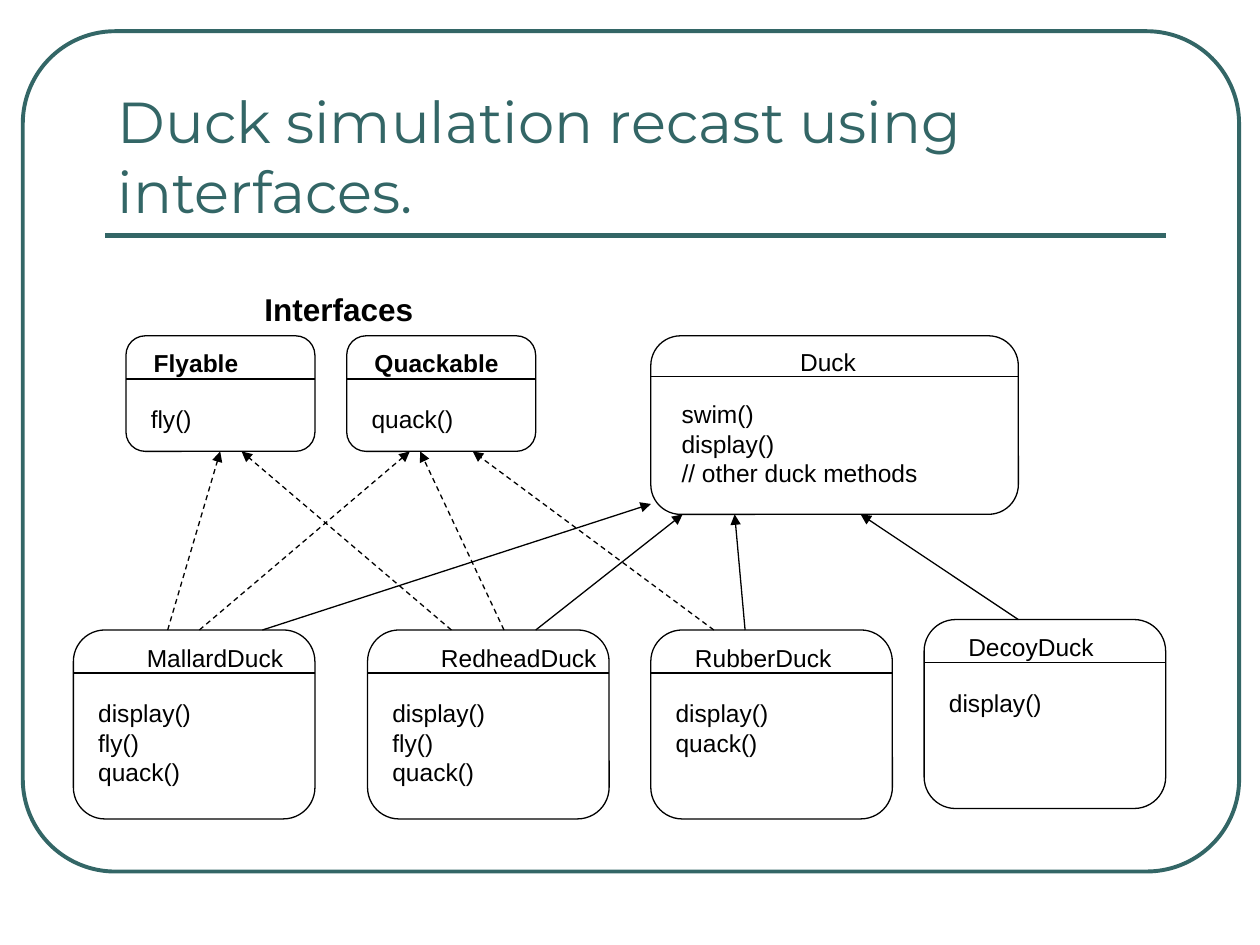
from dataclasses import dataclass

from lxml.etree import SubElement
from pptx import Presentation
from pptx.dml.color import RGBColor
from pptx.enum.dml import MSO_LINE_DASH_STYLE as Dash
from pptx.enum.shapes import MSO_CONNECTOR as Connector, MSO_SHAPE as Shape
from pptx.enum.text import MSO_ANCHOR as Anchor, MSO_AUTO_SIZE as AutoSize, PP_ALIGN as Align
from pptx.oxml.ns import qn
from pptx.util import Cm, Pt


@dataclass(frozen=True)
class Theme:
    accent: RGBColor = RGBColor(0x33, 0x66, 0x66)
    ink: RGBColor = RGBColor(0, 0, 0)
    title_font: str = "Montserrat"
    body_font: str = "Arial"
    title_size: float = 33
    heading_size: float = 18
    body_size: float = 14
    frame_width: float = 2.25
    underline_width: float = 3
    thin_width: float = 0.75


THEME = Theme()


@dataclass(frozen=True)
class UmlBox:
    """A class or interface; lengths in cm, inner offsets from its top left corner."""
    name: str
    methods: tuple
    left: float
    top: float
    width: float
    height: float
    name_left: float
    name_width: float
    methods_width: float
    bold: bool = False
    name_top: float = 0.13
    rule_top: float = 0.87
    methods_left: float = 0.25
    methods_top: float = 1.25


INTERFACE = dict(top=6.77, width=3.81, height=2.33, name_left=0.31, bold=True)
SUBCLASS = dict(top=12.7, width=4.87, height=3.81, methods_width=2.5)

BOXES = (
    UmlBox("Duck", ("swim()", "display()", "// other duck methods"), left=13.12, top=6.77,
           width=7.41, height=3.6, name_left=2.76, name_width=1.8, methods_width=5.45,
           name_top=0.1, rule_top=0.82, methods_left=0.37, methods_top=1.15),
    UmlBox("Flyable", ("fly()",), left=2.54, name_width=2.35, methods_width=1.5, **INTERFACE),
    UmlBox("Quackable", ("quack()",), left=6.99, name_width=3.15, methods_width=2.3, **INTERFACE),
    UmlBox("MallardDuck", ("display()", "fly()", "quack()"), left=1.48,
           name_left=1.23, name_width=3.4, **SUBCLASS),
    UmlBox("RedheadDuck", ("display()", "fly()", "quack()"), left=7.41,
           name_left=1.23, name_width=3.8, **SUBCLASS),
    UmlBox("RubberDuck", ("display()", "quack()"), left=13.12,
           name_left=0.64, name_width=3.4, **SUBCLASS),
    UmlBox("DecoyDuck", ("display()",), left=18.63,
           name_left=0.64, name_width=3.2, **{**SUBCLASS, "top": 12.49}),
)

# child, distance along its top, parent, distance along its bottom, rise above that bottom
RELATIONS = (
    ("MallardDuck", 3.81, "Duck", 0, 0.21),
    ("MallardDuck", 2.54, "Quackable", 1.27, 0),
    ("MallardDuck", 1.9, "Flyable", 1.9, 0),
    ("RedheadDuck", 3.39, "Duck", 0.64, 0),
    ("RedheadDuck", 2.75, "Quackable", 1.48, 0),
    ("RedheadDuck", 1.69, "Flyable", 2.33, 0),
    ("RubberDuck", 1.9, "Duck", 1.69, 0),
    ("RubberDuck", 1.27, "Quackable", 2.54, 0),
    ("DecoyDuck", 1.9, "Duck", 4.23, 0),
)


def write_text(frame, *lines, size=THEME.body_size, font=THEME.body_font,
               color=THEME.ink, bold=False):
    for index, line in enumerate(lines):
        paragraph = frame.paragraphs[0] if index == 0 else frame.add_paragraph()
        paragraph.alignment = Align.LEFT
        run = paragraph.add_run()
        run.text = line
        run.font.size = Pt(size)
        run.font.name = font
        run.font.bold = bold
        run.font.color.rgb = color


def add_label(shapes, left, top, width, *lines, **text_format):
    """Add unwrapped text whose height follows its line count."""
    size = text_format.get("size", THEME.body_size)
    height = 0.25 + len(lines) * size * 0.0425
    frame = shapes.add_textbox(Cm(left), Cm(top), Cm(width), Cm(height)).text_frame
    frame.word_wrap = False
    frame.auto_size = AutoSize.SHAPE_TO_FIT_TEXT
    write_text(frame, *lines, **text_format)


def add_outline(shapes, left, top, width, height, corner=0.167,
                color=THEME.ink, weight=THEME.thin_width):
    outline = shapes.add_shape(Shape.ROUNDED_RECTANGLE, Cm(left), Cm(top), Cm(width), Cm(height))
    outline.adjustments[0] = corner
    outline.shadow.inherit = False
    outline.fill.background()
    outline.line.color.rgb = color
    outline.line.width = Pt(weight)


def add_line(shapes, start, end, color=THEME.ink, weight=THEME.thin_width,
             dashed=False, arrow=False):
    connector = shapes.add_connector(Connector.STRAIGHT, *map(Cm, start + end))
    connector.line.color.rgb = color
    connector.line.width = Pt(weight)
    if dashed:
        connector.line.dash_style = Dash.DASH
    if arrow:
        SubElement(connector.line._get_or_add_ln(), qn("a:tailEnd"), type="triangle")
    SubElement(connector._element.spPr, qn("a:effectLst"))


def add_uml_box(slide, box):
    shapes = slide.shapes.add_group_shape().shapes
    add_outline(shapes, box.left, box.top, box.width, box.height)
    add_label(shapes, box.left + box.name_left, box.top + box.name_top, box.name_width,
              box.name, bold=box.bold)
    rule_y = box.top + box.rule_top
    add_line(shapes, (box.left, rule_y), (box.left + box.width, rule_y))
    add_label(shapes, box.left + box.methods_left, box.top + box.methods_top,
              box.methods_width, *box.methods)


def add_relations(slide):
    """Draw solid arrows to the superclass and dashed ones to interfaces."""
    by_name = {box.name: box for box in BOXES}
    for child_name, child_x, parent_name, parent_x, rise in RELATIONS:
        child, parent = by_name[child_name], by_name[parent_name]
        add_line(slide.shapes, (child.left + child_x, child.top),
                 (parent.left + parent_x, parent.top + parent.height - rise),
                 dashed=parent_name != "Duck", arrow=True)


def add_title(slide, wording):
    title = slide.shapes.title
    title.left, title.top, title.width, title.height = map(Cm, (2.12, 1.48, 21.38, 3.18))
    frame = title.text_frame
    frame.word_wrap = True
    frame.auto_size = AutoSize.NONE
    frame.vertical_anchor = Anchor.BOTTOM
    write_text(frame, wording, size=THEME.title_size, font=THEME.title_font, color=THEME.accent)


def main():
    deck = Presentation()
    deck.slide_width, deck.slide_height = Cm(25.4), Cm(19.05)
    slide = deck.slides.add_slide(deck.slide_layouts[5])

    add_outline(slide.shapes, 0.46, 0.63, 24.52, 16.94, corner=0.11,
                color=THEME.accent, weight=THEME.frame_width)
    add_line(slide.shapes, (2.12, 4.75), (23.5, 4.75),
             color=THEME.accent, weight=THEME.underline_width)
    add_title(slide, "Duck simulation recast using interfaces.")

    for box in BOXES:
        add_uml_box(slide, box)
    add_relations(slide)
    add_label(slide.shapes, 5.08, 5.72, 3.5, "Interfaces", size=THEME.heading_size, bold=True)
    deck.save("out.pptx")


if __name__ == "__main__":
    main()
